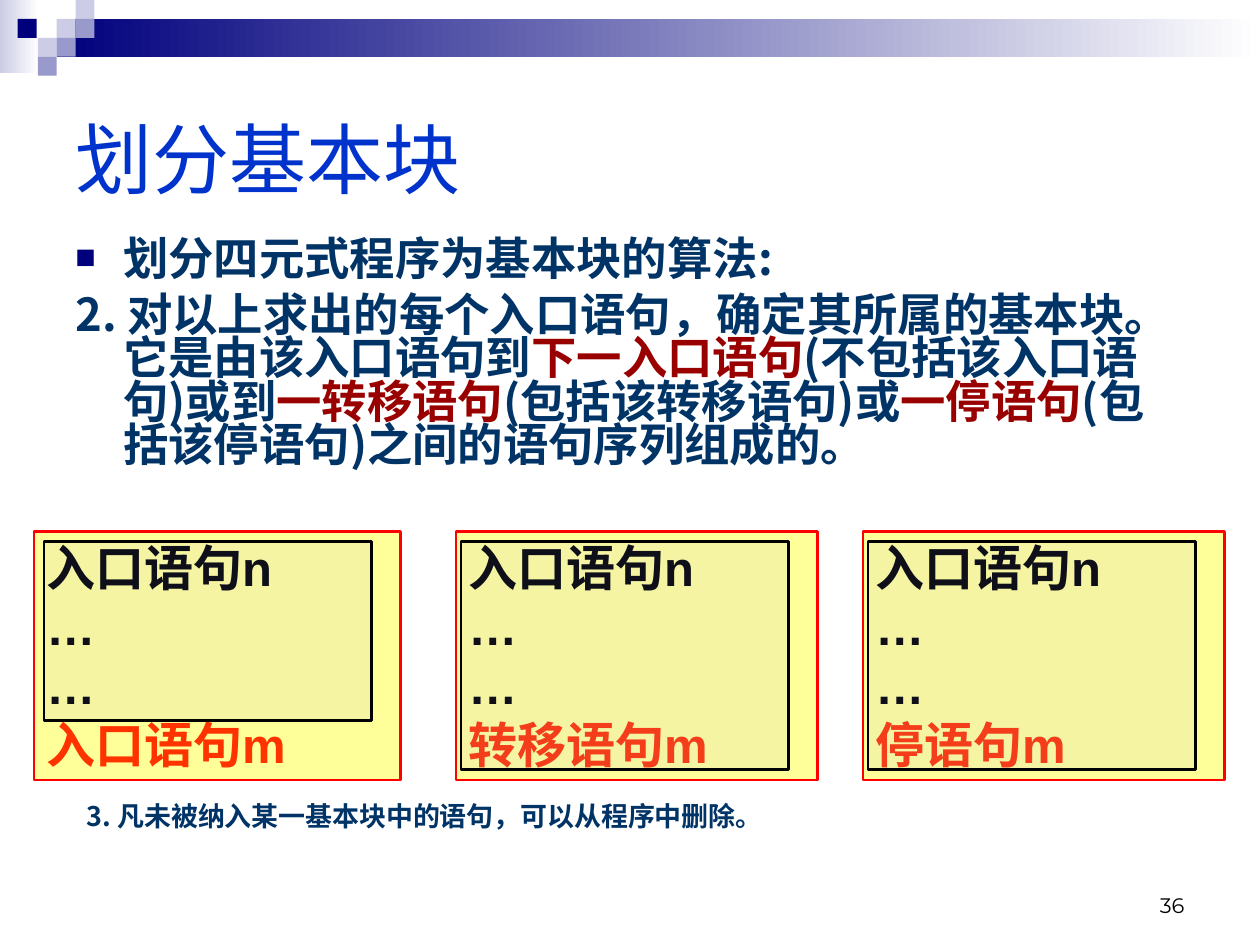
from lxml.etree import SubElement
from pptx import Presentation
from pptx.dml.color import RGBColor
from pptx.enum.shapes import MSO_SHAPE
from pptx.enum.text import MSO_ANCHOR, PP_ALIGN
from pptx.oxml.ns import qn
from pptx.util import Inches, Pt

COLORS = {
    "navy": "00007D", "lavender": "CCCCE6", "periwinkle": "9999CC", "white": "FFFFFF",
    "title": "0033CC", "body": "003366", "emphasis": "990000", "black": "000000",
    "block": "FFFF99", "border": "FF0000", "exit": "FF3300", "range": "9999FF",
}
CJK = "Noto Sans CJK SC"
TITLE = {"size": Pt(44), "name": "Arial"}
BODY = {"size": Pt(25.9), "name": CJK, "bold": True}
STATEMENT = {"size": Pt(28), "name": "Arial", "bold": True}
NOTE = {"size": Pt(15.4), "name": CJK, "bold": True}
NUMBER = {"size": Pt(12), "name": "Montserrat"}
LIST_SPACING = {"line_spacing": 0.8, "space_before": Pt(7)}

prs = Presentation()
prs.slide_width, prs.slide_height = Inches(10), Inches(7.5)
slide = prs.slides.add_slide(prs.slide_layouts[6])


def add_box(bounds, fill, line=None):
    box = slide.shapes.add_shape(MSO_SHAPE.RECTANGLE, *map(Inches, bounds))
    box.shadow.inherit = False
    if isinstance(fill, tuple):
        box.fill.gradient()
        box.fill.gradient_angle = 0
        for stop, color, position in zip(box.fill.gradient_stops, fill, (0, 1)):
            stop.color.rgb = RGBColor.from_string(COLORS[color])
            stop.position = position
    else:
        box.fill.solid()
        box.fill.fore_color.rgb = RGBColor.from_string(COLORS[fill])
    if line:
        box.line.color.rgb = RGBColor.from_string(COLORS[line])
        box.line.width = Pt(1.5)
    else:
        box.line.fill.background()
    return box


def write(shape, paragraphs, font, anchor=MSO_ANCHOR.TOP, spacing={}, align=PP_ALIGN.LEFT, hanging=False):
    frame = shape.text_frame
    frame.word_wrap = True
    frame.vertical_anchor = anchor
    for index, pieces in enumerate(paragraphs):
        paragraph = frame.add_paragraph() if index else frame.paragraphs[0]
        paragraph.alignment = align
        for key, value in spacing.items():
            if index or key != "space_before":
                setattr(paragraph, key, value)
        if hanging:
            properties = paragraph._p.get_or_add_pPr()
            properties.set("marL", str(Inches(0.38)))
            properties.set("indent", str(-Inches(0.38)))
        for words, color in pieces:
            run = paragraph.add_run()
            run.text = words
            for key, value in font.items():
                setattr(run.font, key, value)
            run.font.color.rgb = RGBColor.from_string(COLORS[color])
            SubElement(run._r.get_or_add_rPr(), qn("a:ea"), typeface=CJK)


add_box((0, 0, 0.31, 0.58), ("lavender", "white"))
add_box((0.45, 0.15, 9.55, 0.3), ("navy", "white"))
for left, top, color in [
    (0.45, 0.15, "lavender"), (0.6, 0, "lavender"), (0.6, 0.15, "periwinkle"),
    (0.3, 0.3, "lavender"), (0.14, 0.15, "navy"), (0.45, 0.3, "periwinkle"),
    (0.3, 0.45, "periwinkle"),
]:
    add_box((left, top, 0.15, 0.15), color)

title = slide.shapes.add_textbox(Inches(0.5), Inches(0.5), Inches(9), Inches(1.5))
write(title, [[("划分基本块", "title")]], TITLE, MSO_ANCHOR.MIDDLE)

algorithm = slide.shapes.add_textbox(Inches(0.5), Inches(1.86), Inches(9), Inches(2.36))
write(algorithm, [
    [("划分四元式程序为基本块的算法:", "body")],
    [
        ("2. 对以上求出的每个入口语句，确定其所属的基本块。它是由该入口语句到", "body"),
        ("下一入口语句", "emphasis"),
        ("(不包括该入口语句)或到", "body"),
        ("一转移语句", "emphasis"),
        ("(包括该转移语句)或", "body"),
        ("一停语句", "emphasis"),
        ("(包括该停语句)之间的语句序列组成的。", "body"),
    ],
], BODY, spacing=LIST_SPACING, hanging=True)
heading = algorithm.text_frame.paragraphs[0]._p.get_or_add_pPr()
SubElement(SubElement(heading, qn("a:buClr")), qn("a:srgbClr"), val=COLORS["navy"])
SubElement(heading, qn("a:buSzPct"), val="75000")
SubElement(heading, qn("a:buFont"), typeface="Arial")
SubElement(heading, qn("a:buChar"), char="■")

for left, width, range_left, range_height, last_statement in [
    (0.27, 2.91, 0.35, 1.42, "入口语句m"),
    (3.62, 2.87, 3.66, 1.81, "转移语句m"),
    (6.85, 2.87, 6.89, 1.81, "停语句m"),
]:
    block = add_box((left, 4.22, width, 1.97), "block", "border")
    statements = [[(words, "black")] for words in ("入口语句n", "…", "…")]
    write(block, statements + [[(last_statement, "exit")]], STATEMENT)
    block_range = add_box((range_left, 4.3, 2.6, range_height), "range", "black")
    tint = block_range.fill._xPr.find(qn("a:solidFill")).find(qn("a:srgbClr"))
    SubElement(tint, qn("a:alpha"), val="10000")

note = slide.shapes.add_textbox(Inches(0.59), Inches(6.35), Inches(9.14), Inches(0.4))
write(note, [[("3. 凡未被纳入某一基本块中的语句，可以从程序中删除。", "body")]], NOTE,
      spacing=LIST_SPACING, hanging=True)

page_number = slide.shapes.add_textbox(Inches(7.17), Inches(6.83), Inches(2.33), Inches(0.5))
write(page_number, [[("36", "black")]], NUMBER, MSO_ANCHOR.BOTTOM, align=PP_ALIGN.RIGHT)

prs.save("out.pptx")
